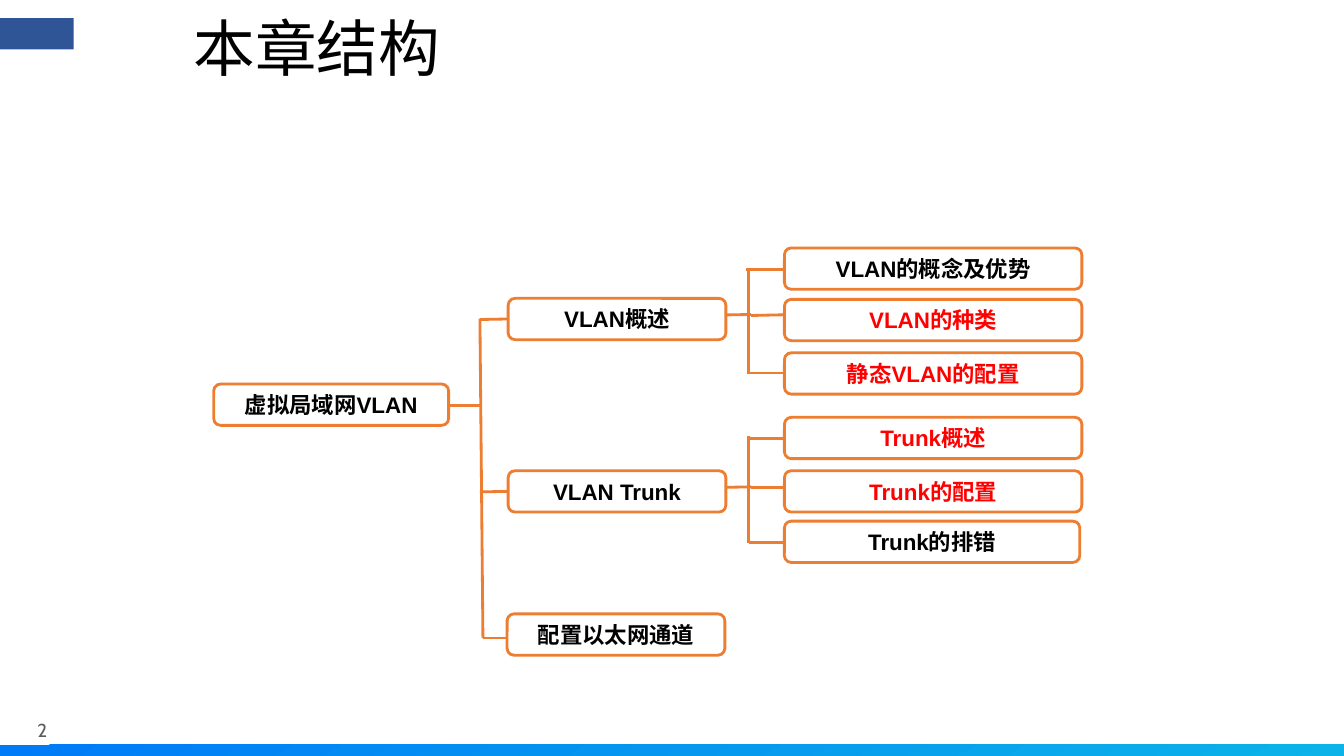
from lxml import etree
from pptx import Presentation
from pptx.dml.color import RGBColor
from pptx.enum.shapes import MSO_CONNECTOR, MSO_SHAPE
from pptx.enum.text import MSO_ANCHOR, MSO_AUTO_SIZE, PP_ALIGN
from pptx.oxml.ns import qn
from pptx.util import Inches, Pt

RECTANGLE = MSO_SHAPE.RECTANGLE
ROUNDED = MSO_SHAPE.ROUNDED_RECTANGLE
STRAIGHT = MSO_CONNECTOR.STRAIGHT
MIDDLE = MSO_ANCHOR.MIDDLE
GROW = MSO_AUTO_SIZE.SHAPE_TO_FIT_TEXT
CENTER = PP_ALIGN.CENTER

BLACK = RGBColor(0x00, 0x00, 0x00)
WHITE = RGBColor(0xFF, 0xFF, 0xFF)
RED = RGBColor(0xFF, 0x00, 0x00)
ORANGE = RGBColor(0xED, 0x7D, 0x31)
NAVY = RGBColor(0x2F, 0x55, 0x97)
GRAY = RGBColor(0x5A, 0x5A, 0x5A)
BAR_COLORS = (RGBColor(0x00, 0x7B, 0xF7), RGBColor(0x0B, 0xB3, 0xE8))

NODE_HEIGHT = 0.41
BRANCH_LEFT, BRANCH_WIDTH = 5.04, 2.16
LEAF_LEFT, LEAF_WIDTH = 7.78, 2.95

NODES = [
    ("虚拟局域网VLAN", 2.12, 3.81, 2.33, BLACK),
    ("VLAN概述", BRANCH_LEFT, 2.96, BRANCH_WIDTH, BLACK),
    ("VLAN Trunk", BRANCH_LEFT, 4.67, BRANCH_WIDTH, BLACK),
    ("配置以太网通道", 5.03, 6.09, BRANCH_WIDTH, BLACK),
    ("VLAN的概念及优势", LEAF_LEFT, 2.46, LEAF_WIDTH, BLACK),
    ("VLAN的种类", LEAF_LEFT, 2.97, LEAF_WIDTH, RED),
    ("静态VLAN的配置", LEAF_LEFT, 3.5, LEAF_WIDTH, RED),
    ("Trunk概述", LEAF_LEFT, 4.14, LEAF_WIDTH, RED),
    ("Trunk的配置", LEAF_LEFT, 4.67, LEAF_WIDTH, RED),
    ("Trunk的排错", LEAF_LEFT, 5.17, 2.93, BLACK),
]

LINKS = [
    (4.29, 4.02, 4.76, 4.02),
    (4.76, 3.16, 4.79, 6.33),
    (4.76, 3.17, 7.45, 3.12),
    (4.76, 4.88, 7.45, 4.83),
    (4.79, 6.33, 5.19, 6.33),
    (7.42, 2.68, 7.42, 3.7),
    (7.4, 2.67, 7.8, 2.67),
    (7.45, 3.13, 7.92, 3.12),
    (7.41, 3.7, 7.88, 3.7),
    (7.42, 4.33, 7.42, 5.39),
    (7.41, 4.35, 7.81, 4.35),
    (7.45, 4.84, 7.92, 4.84),
    (7.43, 5.38, 7.82, 5.38),
]


class ChapterMap:
    line_width = Pt(2)
    node_font = {"name": "Arial", "size": Pt(16), "bold": True}
    title_font = {"name": "Arial", "size": Pt(44)}
    number_font = {"name": "Cabin", "size": Pt(13.4)}
    no_margins = dict.fromkeys(
        ("margin_left", "margin_top", "margin_right", "margin_bottom"), 0)

    def __init__(self, page):
        self.page = page

    def apply(self, target, values):
        for name, value in values.items():
            setattr(target, name, value)

    def fill_text(self, frame, text, font, color, frame_format, para_format):
        self.apply(frame, {"word_wrap": True, "vertical_anchor": MIDDLE, **frame_format})
        para = frame.paragraphs[0]
        self.apply(para, para_format)
        span = para.add_run()
        span.text = text
        self.apply(span.font, font)
        span.font.color.rgb = color

    def shape(self, kind, bounds, color=None):
        shape = self.page.shapes.add_shape(kind, *map(Inches, bounds))
        shape.shadow.inherit = False
        shape.line.fill.background()
        if color is not None:
            shape.fill.solid()
            shape.fill.fore_color.rgb = color
        return shape

    def gradient_bar(self, bounds, colors, angle):
        fill = self.shape(RECTANGLE, bounds).fill
        fill.gradient()
        fill.gradient_angle = angle
        for position, (stop, color) in enumerate(zip(fill.gradient_stops, colors)):
            stop.position = position
            stop.color.rgb = color

    def outline(self, line):
        line.color.rgb = ORANGE
        line.width = self.line_width

    def link(self, ends):
        link = self.page.shapes.add_connector(STRAIGHT, *map(Inches, ends))
        self.outline(link.line)
        etree.SubElement(link._element.spPr, qn("a:effectLst"))

    def node(self, text, left, top, width, color):
        node = self.shape(ROUNDED, (left, top, width, NODE_HEIGHT), WHITE)
        node.adjustments[0] = 0.167
        self.outline(node.line)
        self.fill_text(node.text_frame, text, self.node_font, color,
                       {"auto_size": GROW}, {"alignment": CENTER})

    def label(self, text, bounds, font, color, para_format):
        box = self.page.shapes.add_textbox(*map(Inches, bounds))
        self.fill_text(box.text_frame, text, font, color, self.no_margins, para_format)


def main():
    deck = Presentation()
    deck.slide_width, deck.slide_height = Inches(13.33), Inches(7.5)
    chapter = ChapterMap(deck.slides.add_slide(deck.slide_layouts[6]))

    chapter.gradient_bar((0, 7.39, 13.33, 0.13), BAR_COLORS, 300)
    chapter.label("2", (0.37, 7.13, 0.74, 0.22), chapter.number_font, GRAY, {})
    chapter.shape(RECTANGLE, (0, 0.18, 0.73, 0.31), NAVY)
    chapter.label("本章结构", (1.92, 0.16, 9.58, 0.7), chapter.title_font, BLACK,
                  {"line_spacing": 0.9})
    for ends in LINKS:
        chapter.link(ends)
    for node in NODES:
        chapter.node(*node)

    deck.save("out.pptx")


if __name__ == "__main__":
    main()
